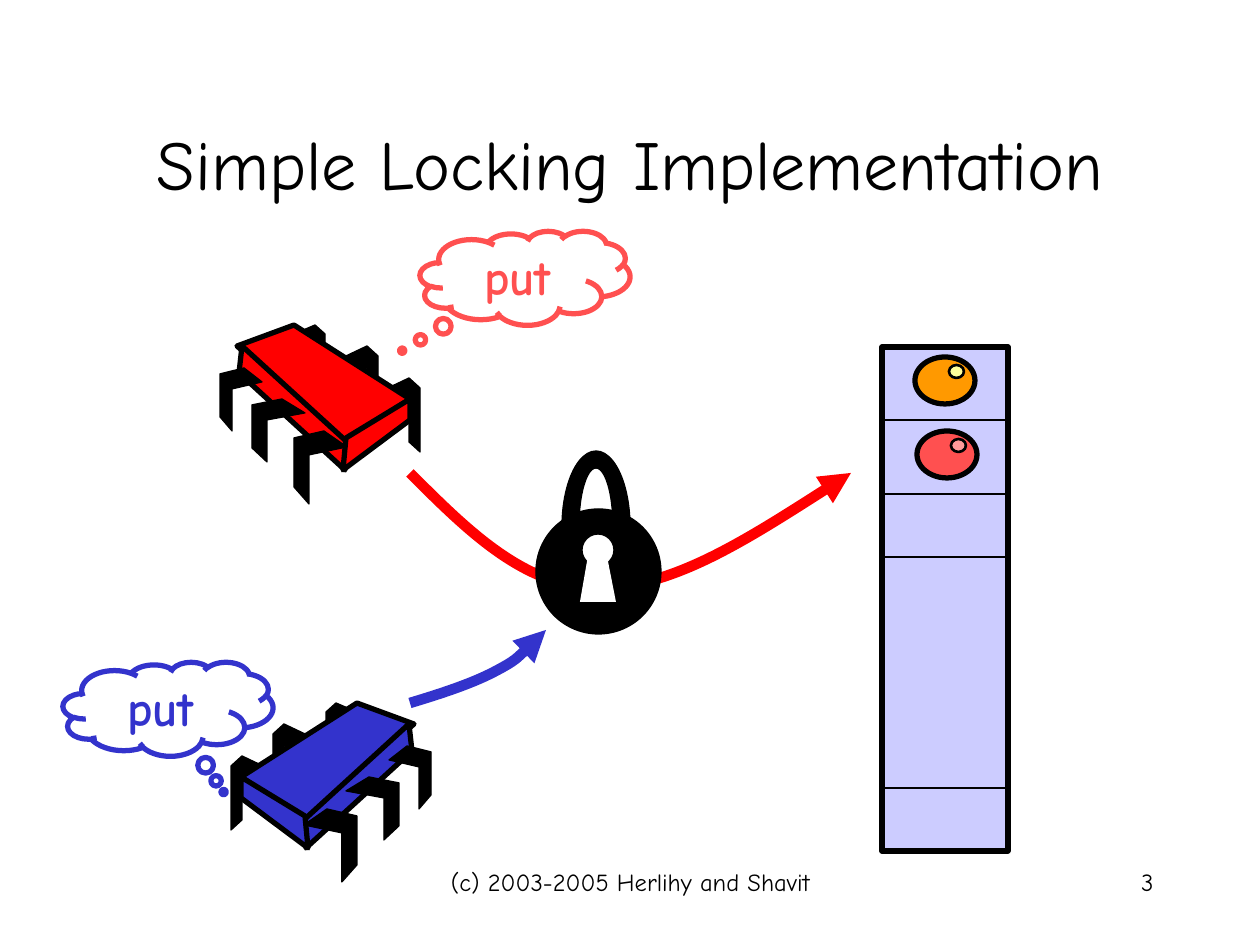
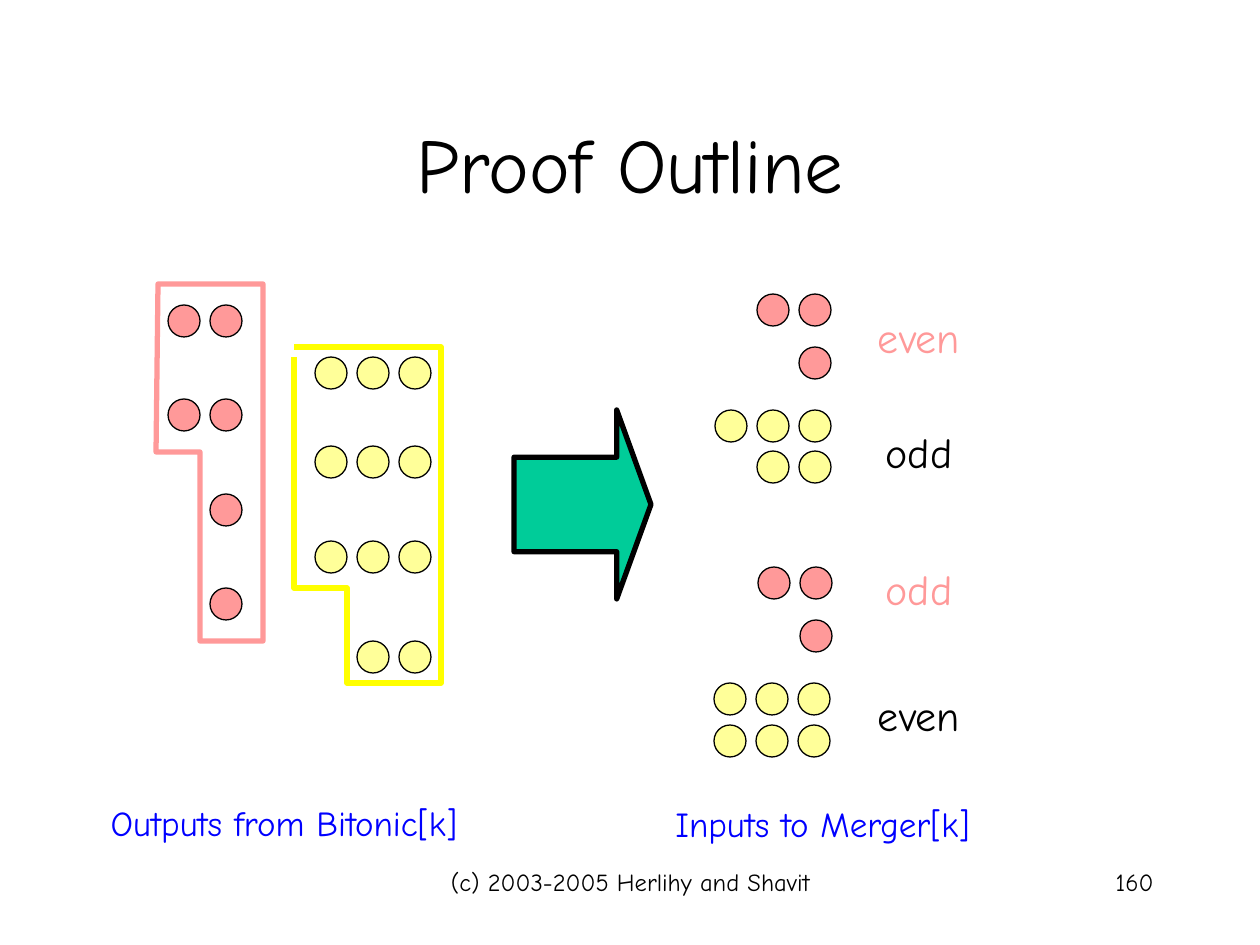
from lxml import etree
from pptx import Presentation
from pptx.dml.color import RGBColor
from pptx.enum.shapes import MSO_CONNECTOR, MSO_SHAPE
from pptx.enum.text import MSO_ANCHOR, PP_ALIGN
from pptx.oxml.ns import qn
from pptx.util import Pt

PX = 914400 / 126  # EMU in one px
FONT = "Comic Neue"
C = {
    "black": "000000", "white": "FFFFFF", "red": "FF0000", "coral": "FF5050",
    "pink": "FF9999", "blue": "3333CC", "caption": "0000FF", "orange": "FF9900",
    "cream": "FFFF99", "yellow": "FFFF00", "lilac": "CCCCFF", "green": "00CC99",
}
CLOSED, OPEN = "closed", "open"


def draw(slide, kind, at, fill=None, line="black", weight=0.75):
    """Draw a preset shape in a box, or a freeform through a list of points."""
    if kind in (CLOSED, OPEN):
        builder = slide.shapes.build_freeform(*at[0], scale=PX)
        builder.add_line_segments(at[1:], close=kind == CLOSED)
        s = builder.convert_to_shape()
    else:
        s = slide.shapes.add_shape(kind, *[round(v * PX) for v in at])
    s.shadow.inherit = False
    for part, colour in ((s.fill, fill), (s.line.fill, line)):
        if colour:
            part.solid()
            part.fore_color.rgb = RGBColor.from_string(C[colour])
        else:
            part.background()
    if line:
        s.line.width = Pt(weight)
    return s


def write(s, text, size, colour, align=PP_ALIGN.CENTER, anchor=MSO_ANCHOR.TOP,
          bold=False, wrap=True):
    tf = s.text_frame
    tf.word_wrap = wrap
    tf.vertical_anchor = anchor
    p = tf.paragraphs[0]
    p.alignment = align
    r = p.add_run()
    r.text = text
    r.font.name, r.font.size, r.font.bold = FONT, Pt(size), bold
    r.font.color.rgb = RGBColor.from_string(C[colour])


prs = Presentation()
prs.slide_width, prs.slide_height = round(1260 * PX), round(945 * PX)

# Title, footer and number of every slide
slides = []
for title, size, number in (("Simple Locking Implementation", 40, "3"),
                            ("Proof Outline", 44, "160")):
    slide = prs.slides.add_slide(prs.slide_layouts[6])
    slides.append(slide)
    for box, text, pt, align, anchor in (
        ((94, 84, 1072, 158), title, size, PP_ALIGN.CENTER, MSO_ANCHOR.MIDDLE),
        ((431, 861, 399, 63), "(c) 2003-2005 Herlihy and Shavit", 14,
         PP_ALIGN.CENTER, MSO_ANCHOR.TOP),
        ((903, 861, 263, 63), number, 14, PP_ALIGN.RIGHT, MSO_ANCHOR.TOP),
    ):
        s = slide.shapes.add_textbox(*[round(v * PX) for v in box])
        write(s, text, pt, "black", align, anchor)
locking, proof = slides

# Curved arrows: each three segments become one Bezier curve
for colour, points in (
    ("red", [(410, 473), (468, 531), (525, 588), (599, 588),
             (672, 588), (761, 531), (851, 473)]),
    ("blue", [(410, 703), (440, 694), (471, 684), (494, 672),
              (517, 660), (532, 645), (546, 630)]),
):
    s = draw(locking, OPEN, points, None, colour, 6)
    segments = list(s._element.iter(qn("a:lnTo")))
    path = segments[0].getparent()
    for i in range(0, len(segments), 3):
        curve = etree.SubElement(path, qn("a:cubicBezTo"))
        for segment in segments[i:i + 3]:
            curve.append(segment[0])
            path.remove(segment)
    etree.SubElement(s.line._get_or_add_ln(), qn("a:tailEnd"), type="triangle")

# Chips: the blue one mirrors the red one, lower down
BACK_LEG = [(0, 0.14), (0.67, 0), (1, 0.14), (1, 1), (0.67, 0.86),
            (0.67, 0.29), (0, 0.43)]
FRONT_LEG = [(0.57, 0), (1, 0.22), (0.29, 0.33), (0.29, 1), (0, 0.77), (0, 0.1)]
back_boxes = [(388, 378, 32, 74), (346, 346, 32, 74), (294, 325, 31, 63)]
front_boxes = [(294, 431, 53, 73), (252, 399, 53, 63), (220, 368, 42, 63)]
faces = [
    [(294, 325), (410, 399), (345, 442), (237, 346)],
    [(242, 346), (346, 441), (345, 470), (239, 373)],
    [(410, 399), (410, 420), (343, 470), (346, 438)],
]
back_legs, front_legs = [
    [[(x + w * fx, y + h * fy) for fx, fy in leg] for x, y, w, h in boxes]
    for leg, boxes in ((BACK_LEG, back_boxes), (FRONT_LEG, front_boxes))
]
for colour, flip, left, down in (("red", 1, 0, 0), ("blue", -1, 651, 378)):
    parts = []
    for outlines, fill, weight in ((back_legs, "black", 0.75), (faces, colour, 3),
                                   (front_legs, "black", 0.75)):
        for outline in outlines:
            points = [(round(left + flip * x), round(y + down)) for x, y in outline]
            parts.append(draw(locking, CLOSED, points, fill, "black", weight))
    locking.shapes.add_group_shape(parts)

# Padlock
shackle = draw(locking, MSO_SHAPE.BLOCK_ARC, (562, 451, 68, 151), "black")
for i, value in enumerate((108, 0, 0.25)):
    shackle.adjustments[i] = value
locking.shapes.add_group_shape([
    draw(locking, MSO_SHAPE.OVAL, (536, 509, 125, 125), "black"),
    draw(locking, MSO_SHAPE.OVAL, (582, 534, 32, 32), "white"),
    draw(locking, CLOSED, [(580, 602), (616, 602), (607, 556), (588, 556)],
         "white", None),
    shackle,
])

# Queue with its cell borders
draw(locking, MSO_SHAPE.RECTANGLE, (882, 347, 126, 504), "lilac", "black", 3)
for y in (420, 494, 557, 788):
    s = locking.shapes.add_connector(
        MSO_CONNECTOR.STRAIGHT, *[round(v * PX) for v in (882, y, 1008, y)])
    s.line.color.rgb = RGBColor.from_string(C["black"])
    s.line.width = Pt(0.75)
    etree.SubElement(s._element.spPr, qn("a:effectLst"))

# Items in the queue, each with a highlight
for x, y, colour, shine in ((915, 357, "orange", "cream"), (917, 431, "coral", "pink")):
    locking.shapes.add_group_shape([
        draw(locking, MSO_SHAPE.OVAL, (x, y, 60, 47), colour, "black", 3),
        draw(locking, MSO_SHAPE.OVAL, (x + 34, y + 8, 15, 13), shine, "black", 1.5),
    ])

# Thought clouds
for x, y, colour, tail in ((63, 662, "blue", (0.265, 0.884)),
                           (420, 231, "coral", (-0.585, 0.773))):
    s = draw(locking, MSO_SHAPE.CLOUD_CALLOUT, (x, y, 210, 94), None, colour, 3)
    s.adjustments[0], s.adjustments[1] = tail
    write(s, "put", 28, colour, anchor=MSO_ANCHOR.MIDDLE, bold=True)

# Rows of tokens: right-hand token, top, count
token_rows = {
    "pink": [(210, 305, 2), (210, 399, 2), (210, 494, 1), (210, 588, 1),
             (799, 294, 2), (799, 347, 1), (800, 567, 2), (800, 620, 1)],
    "cream": [(399, 357, 3), (399, 446, 3), (399, 541, 3), (399, 641, 2),
              (799, 410, 3), (799, 451, 2), (798, 683, 3), (798, 725, 3)],
}
for colour, rows in token_rows.items():
    for right, y, count in rows:
        for i in range(count):
            draw(proof, MSO_SHAPE.OVAL, (right - 42 * i, y, 32, 32), colour)

# Outlines around the two output sequences
draw(proof, OPEN, [(294, 357), (294, 588), (347, 588), (347, 683), (441, 683),
                   (441, 347), (294, 347)], None, "yellow", 3)
draw(proof, CLOSED, [(158, 284), (156, 452), (200, 452), (200, 641), (263, 641),
                     (263, 284)], None, "pink", 3)

# Arrow from outputs to inputs
s = draw(proof, MSO_SHAPE.RIGHT_ARROW, (514, 410, 137, 189), "green", "black", 3)
s.adjustments[0], s.adjustments[1] = 0.5, 0.25

# Captions and parity labels
for box, text, size, colour in (
    ((42, 795, 484, 55), "Outputs from Bitonic[k]", 20, "caption"),
    ((662, 796, 321, 55), "Inputs to Merger[k]", 20, "caption"),
    ((865, 305, 108, 63), "even", 24, "pink"),
    ((873, 420, 92, 63), "odd", 24, "black"),
    ((873, 557, 92, 63), "odd", 24, "pink"),
    ((865, 683, 108, 63), "even", 24, "black"),
):
    s = proof.shapes.add_textbox(*[round(v * PX) for v in box])
    write(s, text, size, colour, wrap=False)

prs.save("out.pptx")
